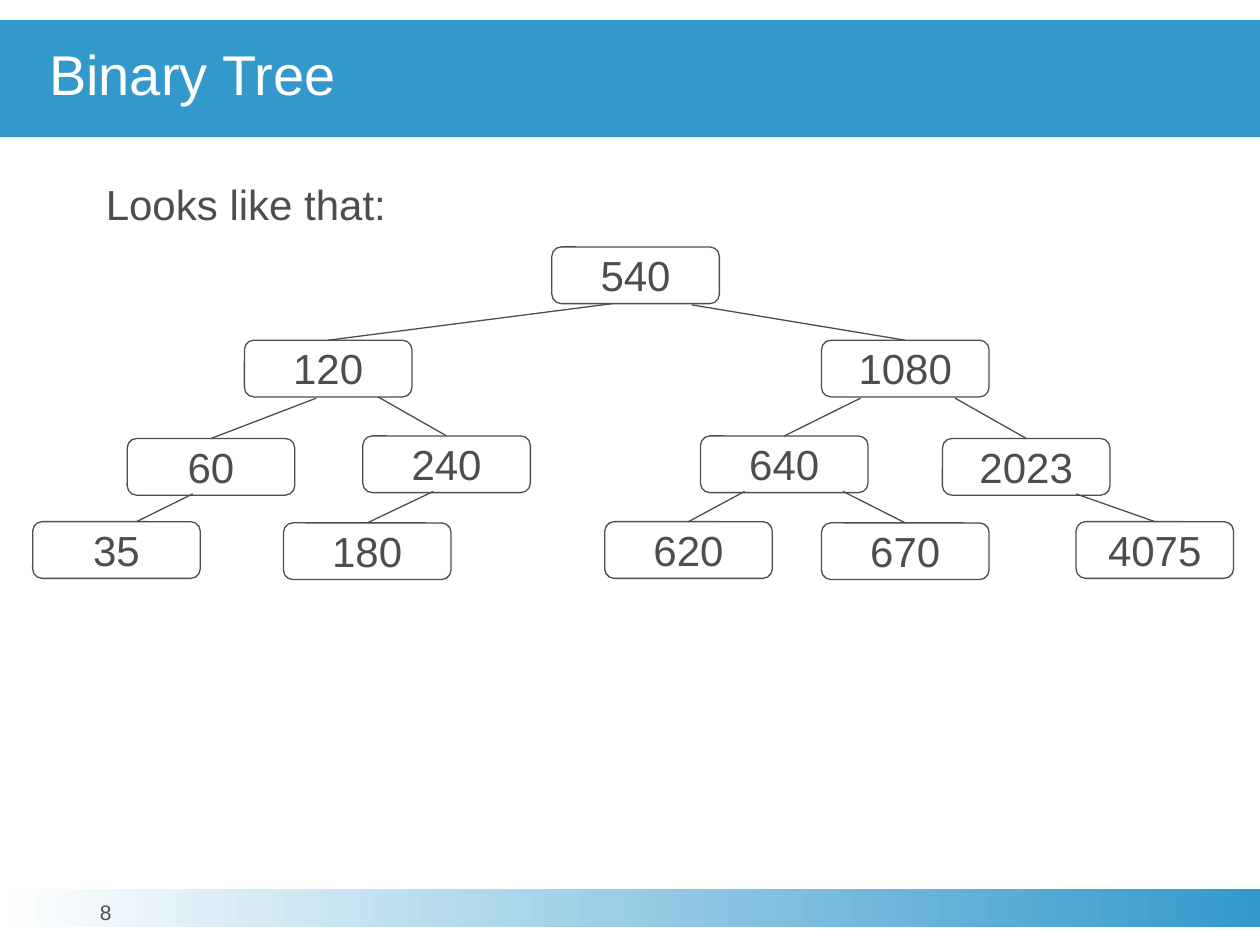
from dataclasses import dataclass
from typing import Optional

from pptx import Presentation
from pptx import util as u
from pptx.dml.color import RGBColor
from pptx.enum import shapes, text
from pptx.oxml import ns
from lxml import etree

BLUE = RGBColor(0x33, 0x99, 0xCC)
GRAY = RGBColor(0x4D, 0x4D, 0x4D)
WHITE = RGBColor(0xFF, 0xFF, 0xFF)
FONT = "Arial"
NODE_HEIGHT = 0.45


@dataclass(frozen=True)
class Node:
    label: str
    left: float
    top: float
    branch_start: Optional[tuple[float, float]] = None
    width: float = 1.33
    entry: float = 0.5


NODES = [
    Node("540", 4.38, 1.96),
    Node("120", 1.94, 2.7, (4.86, 2.41)),
    Node("1080", 6.52, 2.7, (5.49, 2.42)),
    Node("60", 1.01, 3.48, (2.51, 3.16)),
    Node("240", 2.88, 3.46, (3, 3.15)),
    Node("640", 5.56, 3.46, (6.83, 3.16)),
    Node("2023", 7.48, 3.48, (7.58, 3.16)),
    Node("35", 0.26, 4.14, (1.53, 3.92), entry=0.62),
    Node("180", 2.25, 4.15, (3.44, 3.9)),
    Node("620", 4.8, 4.14, (5.91, 3.9)),
    Node("670", 6.52, 4.15, (6.69, 3.9)),
    Node("4075", 8.54, 4.14, (8.54, 3.92), width=1.25),
]


def inches(*lengths: float) -> list[u.Length]:
    return [u.Inches(length) for length in lengths]


def write(box, words: str, *, size: float = 24, color: RGBColor = GRAY,
          align=text.PP_ALIGN.LEFT, anchor=text.MSO_ANCHOR.TOP,
          left_inset: float = 0, before: float = 0, line_spacing=None) -> None:
    frame = box.text_frame
    frame.word_wrap = True
    frame.vertical_anchor = anchor
    frame.margin_left = u.Inches(left_inset)
    frame.margin_top = frame.margin_right = frame.margin_bottom = 0
    para = frame.paragraphs[0]
    para.alignment = align
    para.space_before = u.Pt(before)
    para.line_spacing = line_spacing
    span = para.add_run()
    span.text = words
    span.font.name = FONT
    span.font.size = u.Pt(size)
    span.font.color.rgb = color


def add_band(page, top: float, height: float):
    band = page.shapes.add_shape(shapes.MSO_SHAPE.RECTANGLE,
                                 *inches(0, top, 10, height))
    band.shadow.inherit = False
    band.line.fill.background()
    return band


def add_node(page, node: Node) -> None:
    box = page.shapes.add_shape(
        shapes.MSO_SHAPE.ROUNDED_RECTANGLE,
        *inches(node.left, node.top, node.width, NODE_HEIGHT))
    box.shadow.inherit = False
    box.fill.background()
    box.line.color.rgb = GRAY
    box.line.width = u.Pt(0.75)
    write(box, node.label, align=text.PP_ALIGN.CENTER, before=4.8)


def add_branch(page, node: Node) -> None:
    end = (node.left + node.width * node.entry, node.top)
    branch = page.shapes.add_connector(shapes.MSO_CONNECTOR.STRAIGHT,
                                       *inches(*node.branch_start, *end))
    branch.line.color.rgb = GRAY
    branch.line.width = u.Pt(0.75)
    properties = branch.element.find(ns.qn("p:spPr"))
    etree.SubElement(properties, ns.qn("a:effectLst"))


def main() -> None:
    deck = Presentation()
    deck.slide_width, deck.slide_height = inches(10, 7.5)
    page = deck.slides.add_slide(deck.slide_layouts[6])

    footer = add_band(page, 7.06, 0.3)
    footer.fill.gradient()
    footer.fill.gradient_angle = 0
    for stop, color, position in zip(footer.fill.gradient_stops,
                                     (WHITE, BLUE), (0, 1)):
        stop.color.rgb = color
        stop.position = position
    number = page.shapes.add_textbox(*inches(0.31, 7.16, 1.06, 0.31))
    write(number, "8", size=12, align=text.PP_ALIGN.CENTER,
          line_spacing=u.Pt(13))

    title = add_band(page, 0.16, 0.93)
    title.fill.solid()
    title.fill.fore_color.rgb = BLUE
    write(title, "Binary Tree", size=32, color=WHITE, left_inset=0.39,
          anchor=text.MSO_ANCHOR.MIDDLE, line_spacing=0.85)

    body = page.shapes.add_textbox(*inches(0.84, 1.42, 8.44, 5.45))
    write(body, "Looks like that:", before=2.4)

    for node in NODES:
        add_node(page, node)
    for node in NODES:
        if node.branch_start:
            add_branch(page, node)

    deck.save("out.pptx")


main()
